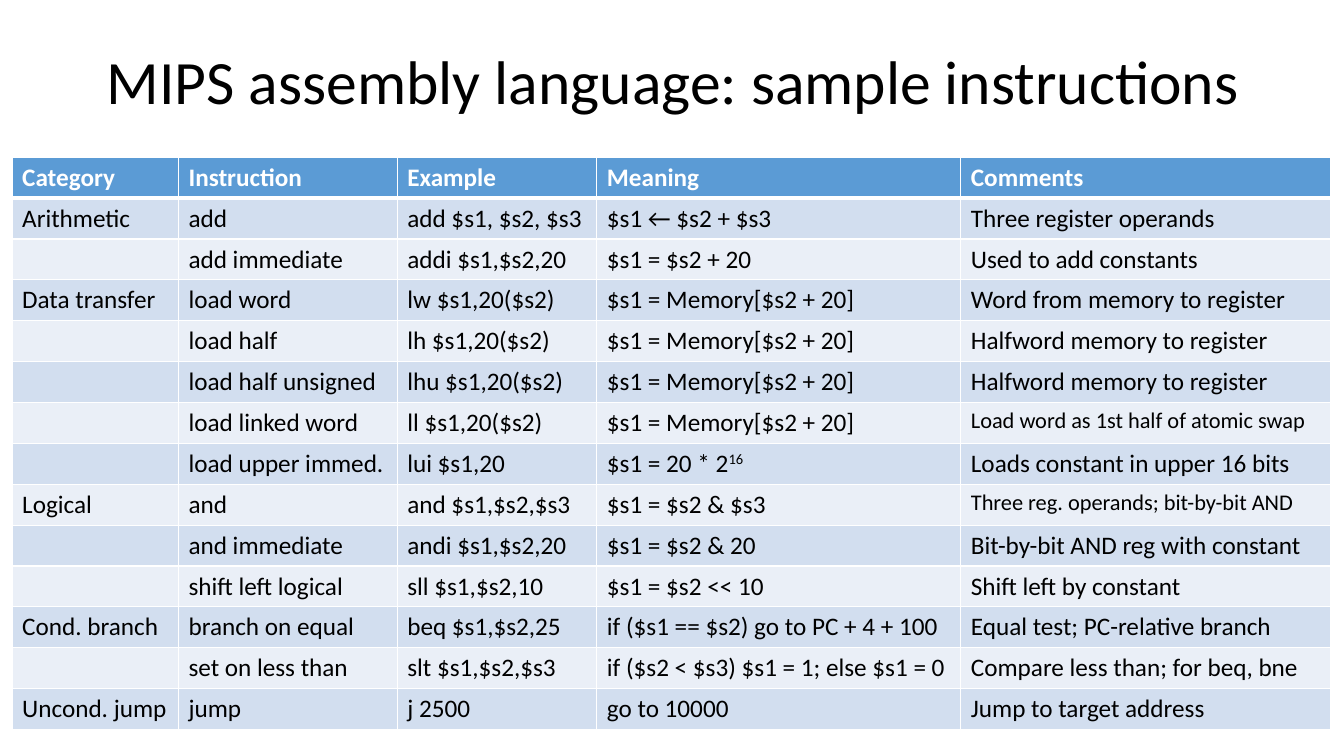
from pptx import Presentation
from pptx.dml.color import RGBColor
from pptx.enum.text import MSO_ANCHOR, MSO_AUTO_SIZE, PP_ALIGN
from pptx.oxml.ns import qn
from pptx.util import Inches, Pt
from lxml.etree import SubElement

COLORS = {
    "text": "000000",
    "header_text": "FFFFFF",
    "header": "5B9BD5",
    "odd_row": "D2DEEF",
    "even_row": "EAEFF7",
    "border": "FFFFFF",
}

COLUMN_WIDTHS = [1.65, 2.17, 1.98, 3.61, 3.67]
TABLE_HEIGHT = 5.68

# A caret starts a superscript
INSTRUCTIONS = [
    ["Category", "Instruction", "Example", "Meaning", "Comments"],
    ["Arithmetic", "add", "add $s1, $s2, $s3", "$s1 ← $s2 + $s3", "Three register operands"],
    ["", "add immediate", "addi $s1,$s2,20", "$s1 = $s2 + 20", "Used to add constants"],
    ["Data transfer", "load word", "lw $s1,20($s2)", "$s1 = Memory[$s2 + 20]",
     "Word from memory to register"],
    ["", "load half", "lh $s1,20($s2)", "$s1 = Memory[$s2 + 20]", "Halfword memory to register"],
    ["", "load half unsigned", "lhu $s1,20($s2)", "$s1 = Memory[$s2 + 20]",
     "Halfword memory to register"],
    ["", "load linked word", "ll $s1,20($s2)", "$s1 = Memory[$s2 + 20]",
     "Load word as 1st half of atomic swap"],
    ["", "load upper immed.", "lui $s1,20", "$s1 = 20 * 2^16", "Loads constant in upper 16 bits"],
    ["Logical", "and", "and $s1,$s2,$s3", "$s1 = $s2 & $s3", "Three reg. operands; bit-by-bit AND"],
    ["", "and immediate", "andi $s1,$s2,20", "$s1 = $s2 & 20", "Bit-by-bit AND reg with constant"],
    ["", "shift left logical", "sll $s1,$s2,10", "$s1 = $s2 << 10", "Shift left by constant"],
    ["Cond. branch", "branch on equal", "beq $s1,$s2,25", "if ($s1 == $s2) go to PC + 4 + 100",
     "Equal test; PC-relative branch"],
    ["", "set on less than", "slt $s1,$s2,$s3", "if ($s2 < $s3) $s1 = 1; else $s1 = 0",
     "Compare less than; for beq, bne"],
    ["Uncond. jump", "jump", "j 2500", "go to 10000", "Jump to target address"],
]
SMALL_COMMENTS = {"Load word as 1st half of atomic swap", "Three reg. operands; bit-by-bit AND"}


class SlideBuilder:
    font = "Calibri"

    def __init__(self, deck):
        self.page = deck.slides.add_slide(deck.slide_layouts[5])

    def style(self, span, size, color, bold=False):
        span.font.name = self.font
        span.font.size = Pt(size)
        span.font.bold = bold
        span.font.color.rgb = RGBColor.from_string(COLORS[color])

    def title(self, text, left, top, width, height):
        box = self.page.shapes.title
        box.left, box.top = Inches(left), Inches(top)
        box.width, box.height = Inches(width), Inches(height)
        frame = box.text_frame
        frame.text = text
        frame.word_wrap = True
        frame.auto_size = MSO_AUTO_SIZE.NONE
        frame.vertical_anchor = MSO_ANCHOR.MIDDLE
        para = frame.paragraphs[0]
        para.alignment = PP_ALIGN.LEFT
        para.line_spacing = 0.9
        self.style(para.runs[0], 44, "text")

    def borders(self, cell, top, bottom):
        properties = cell._tc.get_or_add_tcPr()
        for side, points in (("L", 1), ("R", 1), ("T", top), ("B", bottom)):
            line = SubElement(properties, qn(f"a:ln{side}"), w=str(Pt(points)))
            fill = SubElement(line, qn("a:solidFill"))
            SubElement(fill, qn("a:srgbClr"), val=COLORS["border"])

    def cell(self, cell, text, size, color, fill, bold):
        cell.fill.solid()
        cell.fill.fore_color.rgb = RGBColor.from_string(COLORS[fill])
        base, _, power = text.partition("^")
        cell.text_frame.text = base
        para = cell.text_frame.paragraphs[0]
        if power:
            raised = para.add_run()
            raised.text = power
            raised.font._element.set("baseline", "30000")
        for span in para.runs:
            self.style(span, size, color, bold)

    def table(self, rows, widths, left, top, height):
        frame = self.page.shapes.add_table(len(rows), len(widths), Inches(left), Inches(top),
                                           Inches(sum(widths)), Inches(height))
        table = frame.table
        for column, width in zip(table.columns, widths):
            column.width = Inches(width)
        for r, row in enumerate(rows):
            header = r == 0
            fill = "header" if header else "odd_row" if r % 2 else "even_row"
            color = "header_text" if header else "text"
            for c, text in enumerate(row):
                cell = table.cell(r, c)
                # The header is set off by a thicker rule
                self.borders(cell, 3 if r == 1 else 1, 3 if header else 1)
                size = 16 if text in SMALL_COMMENTS else 18
                self.cell(cell, text, size, color, fill, header)


def main():
    deck = Presentation()
    deck.slide_width, deck.slide_height = Inches(13.33), Inches(7.5)
    slide = SlideBuilder(deck)
    # Heading
    slide.title("MIPS assembly language: sample instructions", 0.96, 0.11, 11.5, 1.45)
    # Instruction table
    slide.table(INSTRUCTIONS, COLUMN_WIDTHS, 0.12, 1.56, TABLE_HEIGHT)
    deck.save("out.pptx")


if __name__ == "__main__":
    main()
